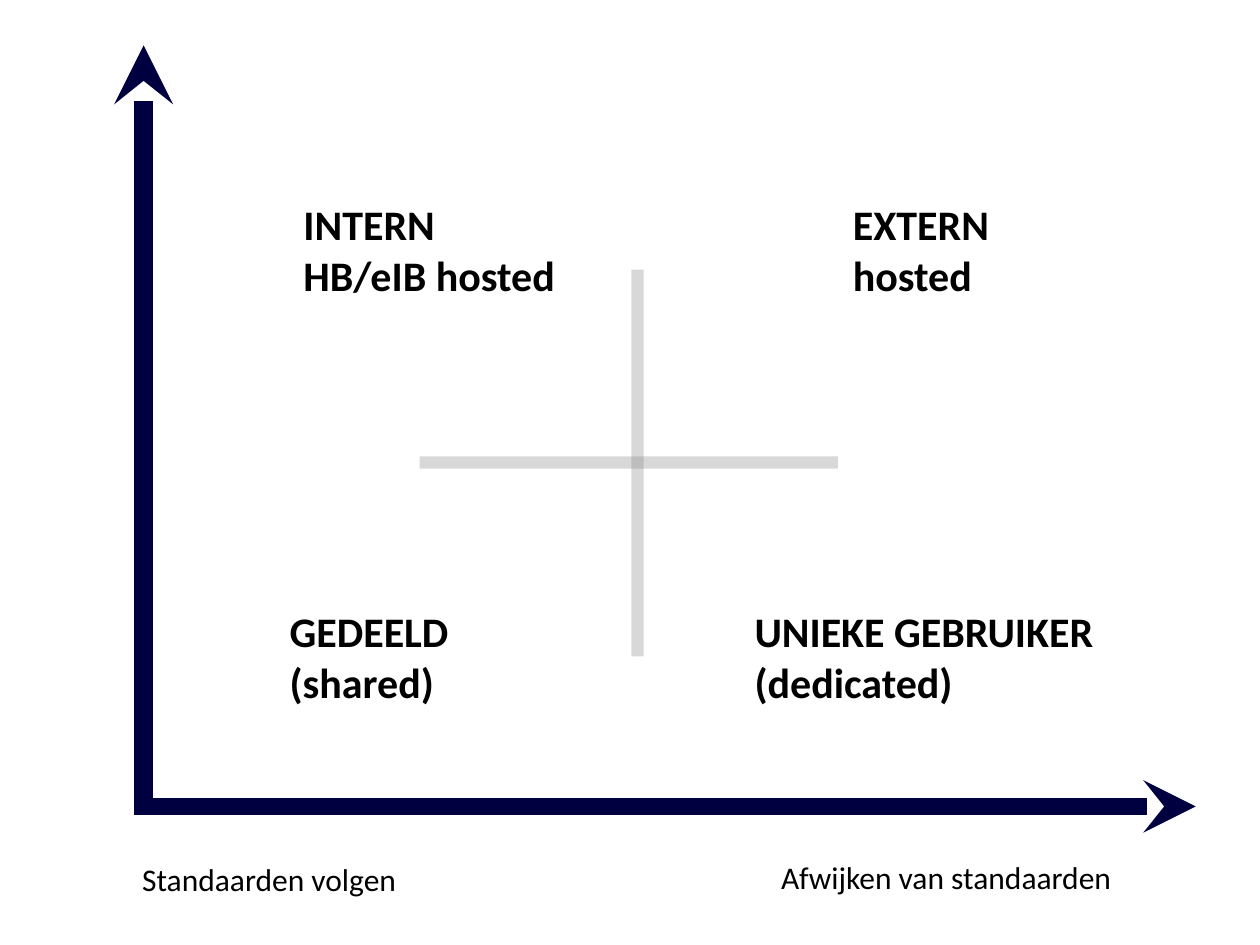
from lxml import etree
from pptx import Presentation
from pptx import util as u
from pptx.dml.color import RGBColor
from pptx.enum import shapes, text
from pptx.oxml.ns import qn

WIDTH, HEIGHT = 10, 7.5
NAVY, GREY, BLACK = "000040", "808080", "000000"
ORIGIN_X, ORIGIN_Y = 1.14, 6.4
CENTRE_X, CENTRE_Y = 5.06, 3.67
UPPER_ROW, LOWER_ROW = 1.53, 4.76


def color(value):
    return RGBColor.from_string(value)


def add_line(slide, start, end, stroke, weight, opacity=None, arrow=False):
    line = slide.shapes.add_connector(
        shapes.MSO_CONNECTOR.STRAIGHT, *[u.Inches(v) for v in (*start, *end)])
    line.line.color.rgb = color(stroke)
    line.line.width = u.Pt(weight)
    etree.SubElement(line._element.spPr, qn("a:effectLst"))
    outline = line.line._get_or_add_ln()
    if opacity is not None:
        fill = outline.find(qn("a:solidFill"))[0]
        etree.SubElement(fill, qn("a:alpha"), val=str(opacity * 1000))
    if arrow:
        etree.SubElement(outline, qn("a:tailEnd"), type="stealth")


def add_label(slide, left, top, width, lines, size, bold=False):
    height = 0.1 + len(lines) * size / 60
    label = slide.shapes.add_textbox(*[u.Inches(v) for v in (left, top, width, height)])
    frame = label.text_frame
    frame.text = "\n".join(lines)
    frame.word_wrap = False
    frame.auto_size = text.MSO_AUTO_SIZE.SHAPE_TO_FIT_TEXT
    for paragraph in frame.paragraphs:
        for run in paragraph.runs:
            run.font.name = "Calibri"
            run.font.size = u.Pt(size)
            run.font.bold = bold
            run.font.color.rgb = color(BLACK)


def main():
    deck = Presentation()
    deck.slide_width, deck.slide_height = u.Inches(WIDTH), u.Inches(HEIGHT)
    slide = deck.slides.add_slide(deck.slide_layouts[6])

    add_line(slide, (ORIGIN_X, 6.43), (ORIGIN_X, 0.36), NAVY, 11.25, arrow=True)
    add_line(slide, (1.06, ORIGIN_Y), (9.49, ORIGIN_Y), NAVY, 10, arrow=True)
    add_line(slide, (CENTRE_X, 2.14), (CENTRE_X, 5.21), GREY, 7, opacity=29)
    add_line(slide, (3.33, CENTRE_Y), (6.65, CENTRE_Y), GREY, 7, opacity=29)

    quadrants = [
        (2.31, UPPER_ROW, 2.22, ["INTERN", "HB/eIB hosted"]),
        (2.2, LOWER_ROW, 1.48, ["GEDEELD", "(shared)"]),
        (6.67, UPPER_ROW, 1.29, ["EXTERN", "hosted"]),
        (5.89, LOWER_ROW, 2.92, ["UNIEKE GEBRUIKER", "(dedicated)"]),
    ]
    for quadrant in quadrants:
        add_label(slide, *quadrant, size=24, bold=True)

    axis_ends = [
        (6.1, 6.76, 2.85, ["Afwijken van standaarden"]),
        (1.03, 6.78, 2.24, ["Standaarden volgen"]),
    ]
    for axis_end in axis_ends:
        add_label(slide, *axis_end, size=18)

    deck.save("out.pptx")


main()
